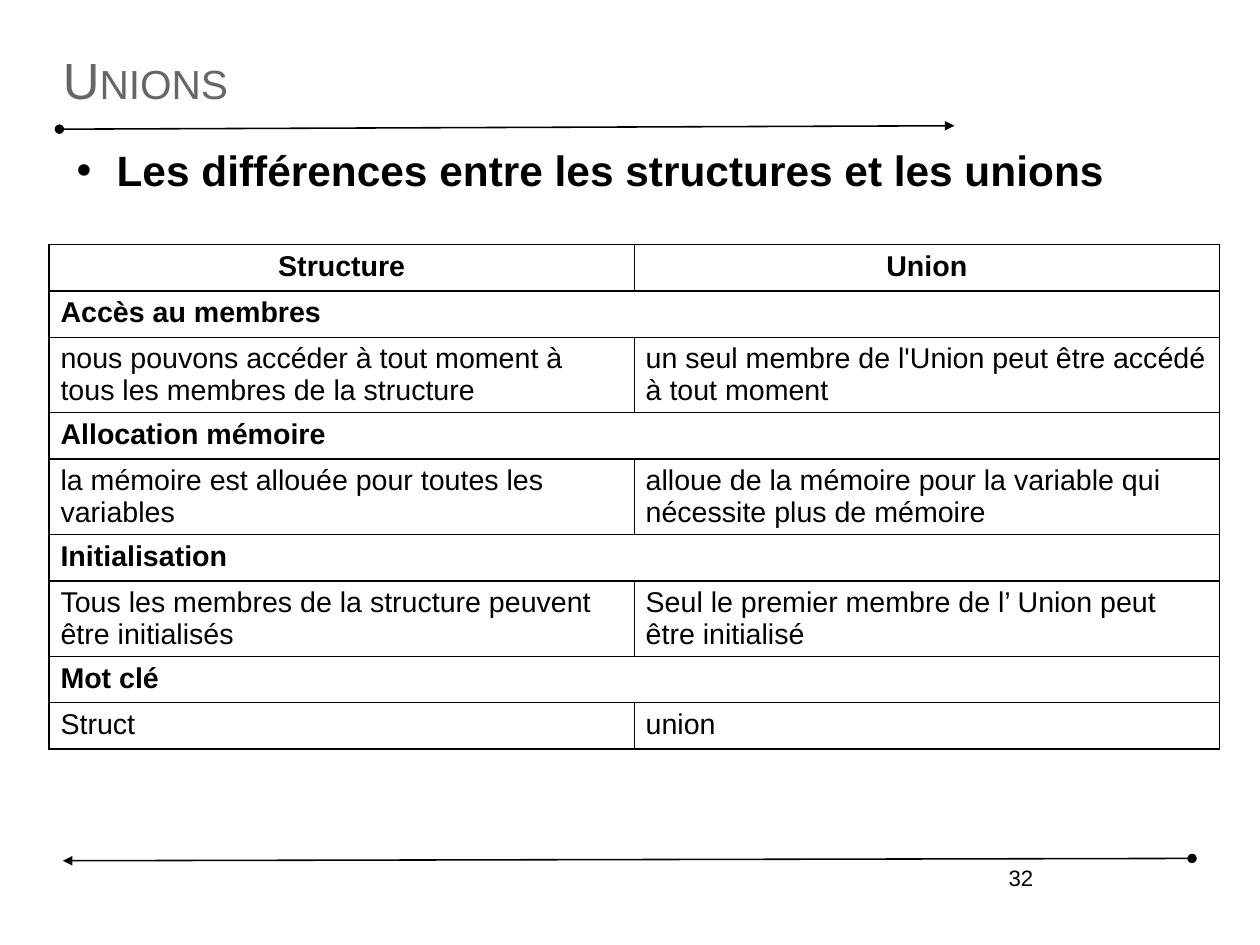
import pptx
import pptx.util
import pptx.dml.color
import pptx.enum.shapes
import pptx.enum.text
import pptx.oxml
import pptx.oxml.ns
import lxml.etree

Inches = pptx.util.Inches
Pt = pptx.util.Pt
qn = pptx.oxml.ns.qn
ALIGN = pptx.enum.text.PP_ALIGN
ANCHOR = pptx.enum.text.MSO_ANCHOR

FONT = "Arial"
COLORS = {"ink": "000000", "title": "666666"}
SLIDE_W, SLIDE_H = pptx.util.Emu(10080625), pptx.util.Emu(7559675)
TITLE = "Unions"
SUBTITLE = "Les différences entre les structures et les unions"
PAGE = "32"
HEADER = ("Structure", "Union")
SECTIONS = [
    ("Accès au membres",
     "nous pouvons accéder à tout moment à tous les membres de la structure",
     "un seul membre de l'Union peut être accédé à tout moment"),
    ("Allocation mémoire",
     "la mémoire est allouée pour toutes les variables",
     "alloue de la mémoire pour la variable qui nécessite plus de mémoire"),
    ("Initialisation",
     "Tous les membres de la structure peuvent être initialisés",
     "Seul le premier membre de l’ Union peut être initialisé"),
    ("Mot clé", "Struct", "union"),
]
RULES = [(0.52, 1.13, 8.35, 1.1), (10.43, 7.51, 0.55, 7.53)]
LEFT, WIDTH = 0.55, 9.92
TABLE_LEFT, TABLE_TOP, TABLE_H, COL_W = 0.43, 2.14, 4.53, 5.12
ROW_H = Pt(29.2)


def add_run(p, text, size, color="ink", bold=False):
    r = p.add_run()
    r.text = text
    r.font.name = FONT
    r.font.size = Pt(size)
    r.font.bold = bold
    r.font.color.rgb = pptx.dml.color.RGBColor.from_string(COLORS[color])
    return r


def set_frame(tf, anchor, x=0, y=0):
    tf.word_wrap = True
    tf.auto_size = pptx.enum.text.MSO_AUTO_SIZE.NONE
    tf.vertical_anchor = anchor
    tf.margin_left = tf.margin_right = Inches(x)
    tf.margin_top = tf.margin_bottom = Inches(y)


def add_rule(s, x1, y1, x2, y2):
    line = s.shapes.add_connector(pptx.enum.shapes.MSO_CONNECTOR.STRAIGHT,
                                  Inches(x1), Inches(y1), Inches(x2), Inches(y2))
    line.line.width = Pt(1)
    line.line.color.rgb = pptx.dml.color.RGBColor.from_string(COLORS["ink"])
    ln = line._element.spPr.find(qn("a:ln"))
    lxml.etree.SubElement(ln, qn("a:headEnd"), type="oval")
    lxml.etree.SubElement(ln, qn("a:tailEnd"), type="triangle")
    lxml.etree.SubElement(line._element.spPr, qn("a:effectLst"))


def add_borders(cell):
    tcPr = cell._tc.get_or_add_tcPr()
    for i, side in enumerate(("lnL", "lnR", "lnT", "lnB")):
        ln = lxml.etree.Element(qn("a:" + side), w=str(Pt(1)))
        fill = lxml.etree.SubElement(ln, qn("a:solidFill"))
        lxml.etree.SubElement(fill, qn("a:srgbClr"), val=COLORS["ink"])
        tcPr.insert(i, ln)


def add_comparison(s):
    rows = [(HEADER, True)]
    for name, structure, union in SECTIONS:
        rows += [((name,), True), ((structure, union), False)]
    frame = s.shapes.add_table(len(rows), 2, Inches(TABLE_LEFT), Inches(TABLE_TOP),
                               Inches(2 * COL_W), Inches(TABLE_H))
    table = frame.table
    table.first_row = table.horz_banding = False
    for col in table.columns:
        col.width = Inches(COL_W)
    for i, (texts, bold) in enumerate(rows):
        table.rows[i].height = ROW_H
        if len(texts) == 1:
            table.cell(i, 0).merge(table.cell(i, 1))
        for j in range(2):
            cell = table.cell(i, j)
            cell.fill.background()
            add_borders(cell)
            if j < len(texts):
                p = cell.text_frame.paragraphs[0]
                p.alignment = ALIGN.CENTER if i == 0 else ALIGN.LEFT
                add_run(p, texts[j], 18, bold=bold)
    frame.height = Inches(TABLE_H)


def main():
    prs = pptx.Presentation()
    prs.slide_width, prs.slide_height = SLIDE_W, SLIDE_H
    s = prs.slides.add_slide(prs.slide_layouts[5])

    for rule in RULES:
        add_rule(s, *rule)

    title = s.shapes.title
    title.left, title.top = Inches(LEFT), Inches(0.33)
    title.width, title.height = Inches(WIDTH), Inches(0.72)
    set_frame(title.text_frame, ANCHOR.MIDDLE)
    p = title.text_frame.paragraphs[0]
    p.alignment = ALIGN.LEFT
    r = add_run(p, TITLE, 32, "title")
    r._r.get_or_add_rPr().set("cap", "small")

    sp = s.shapes.add_textbox(Inches(LEFT), Inches(1.26), Inches(WIDTH), Inches(6.19))
    set_frame(sp.text_frame, ANCHOR.TOP)
    p = sp.text_frame.paragraphs[0]
    p.space_before = Pt(9.4)
    pPr = p._p.get_or_add_pPr()
    pPr.set("marL", str(Inches(0.47)))
    pPr.set("indent", str(Inches(-0.35)))
    lxml.etree.SubElement(pPr, qn("a:buFont"), typeface=FONT)
    lxml.etree.SubElement(pPr, qn("a:buChar"), char="•")
    add_run(p, SUBTITLE, 26.7, bold=True)

    add_comparison(s)

    sp = s.shapes.add_textbox(Inches(6.57), Inches(7.51), Inches(2.57), Inches(0.57))
    set_frame(sp.text_frame, ANCHOR.TOP, 0.1, 0.05)
    p = sp.text_frame.paragraphs[0]
    p.alignment = ALIGN.RIGHT
    add_run(p, PAGE, 14)

    prs.save("out.pptx")


if __name__ == "__main__":
    main()
